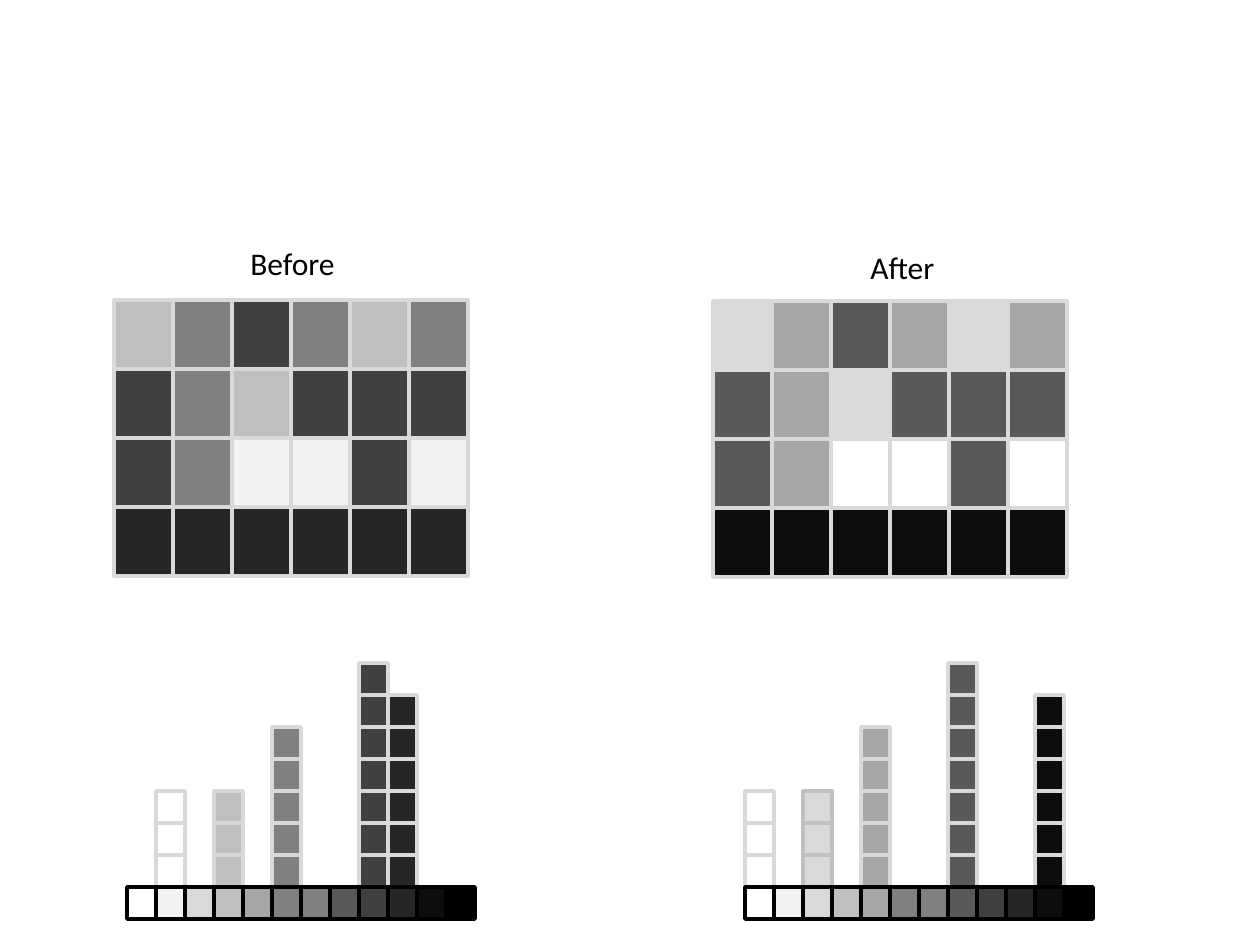
"""Draw a grey-level grid and its histogram before and after a contrast stretch."""
from collections import Counter
from dataclasses import dataclass, field

from pptx import Presentation
from pptx import util as u
from pptx.dml.color import RGBColor
from pptx.enum import shapes, text
from pptx.shapes.group import GroupShape

PX = u.Inches(1) / 126


@dataclass(frozen=True)
class Theme:
    ramp: tuple[str, ...] = (
        "FFFFFF", "F2F2F2", "D9D9D9", "BFBFBF", "A6A6A6", "808080",
        "808080", "595959", "404040", "262626", "0D0D0D", "000000",
    )
    grid_line: str = "D9D9D9"
    ramp_line: str = "000000"
    text: str = "000000"
    font: str = "Calibri"
    title_size: int = 18
    line_width: int = 2


@dataclass(frozen=True)
class Size:
    width: int
    height: int


@dataclass(frozen=True)
class Panel:
    title: str
    title_left: int
    title_top: int
    title_width: int
    grid_left: int
    grid_top: int
    ramp_left: int
    ramp_top: int
    levels: tuple[tuple[int, ...], ...]
    bar_fills: dict[int, str] = field(default_factory=dict)
    bar_lines: dict[int, str] = field(default_factory=dict)


THEME = Theme()
GRID_CELL = Size(59, 69)
RAMP_CELL = Size(29, 32)
TITLE_HEIGHT = 51

PANELS = (
    Panel(
        "After", 858, 242, 91, 713, 301, 745, 887,
        ((2, 4, 7, 4, 2, 4), (7, 4, 2, 7, 7, 7), (7, 4, 0, 0, 7, 0), (10,) * 6),
        bar_lines={2: "BFBFBF"},
    ),
    Panel(
        "Before", 238, 238, 112, 114, 300, 127, 887,
        ((3, 5, 8, 5, 3, 5), (8, 5, 3, 8, 8, 8), (8, 5, 1, 1, 8, 1), (9,) * 6),
        bar_fills={1: "FFFFFF"},
    ),
)


def px(length: int) -> u.Emu:
    """Turn pixels into EMU."""
    return u.Emu(round(length * PX))


def add_cell(group: GroupShape, left: int, top: int, size: Size, fill: str, line: str) -> None:
    """Add one filled and outlined cell."""
    shape = group.shapes.add_shape(
        shapes.MSO_SHAPE.RECTANGLE, px(left), px(top), px(size.width), px(size.height)
    )
    shape.shadow.inherit = False
    shape.fill.solid()
    shape.fill.fore_color.rgb = RGBColor.from_string(fill)
    shape.line.color.rgb = RGBColor.from_string(line)
    shape.line.width = u.Pt(THEME.line_width)


def add_text(group: GroupShape, content: str, *, left: int, top: int, width: int, height: int,
             size: int = THEME.title_size, color: str = THEME.text) -> None:
    """Add a single-line text box that fits its text."""
    shape = group.shapes.add_textbox(px(left), px(top), px(width), px(height))
    frame = shape.text_frame
    frame.word_wrap = False
    frame.auto_size = text.MSO_AUTO_SIZE.SHAPE_TO_FIT_TEXT
    run = frame.paragraphs[0].add_run()
    run.text = content
    run.font.name = THEME.font
    run.font.size = u.Pt(size)
    run.font.color.rgb = RGBColor.from_string(color)


def add_histogram(group: GroupShape, panel: Panel) -> None:
    """Stack one block per grid cell above its grey level, then add the ramp."""
    counts = Counter(level for row in panel.levels for level in row)
    for level, count in sorted(counts.items()):
        left = panel.ramp_left + level * RAMP_CELL.width
        fill = panel.bar_fills.get(level, THEME.ramp[level])
        line = panel.bar_lines.get(level, THEME.grid_line)
        for step in range(1, count + 1):
            top = panel.ramp_top - step * RAMP_CELL.height
            add_cell(group, left, top, RAMP_CELL, fill, line)
    for level, fill in enumerate(THEME.ramp):
        left = panel.ramp_left + level * RAMP_CELL.width
        add_cell(group, left, panel.ramp_top, RAMP_CELL, fill, THEME.ramp_line)


def add_grid(group: GroupShape, panel: Panel) -> None:
    """Add the grid of grey cells."""
    for row, levels in enumerate(panel.levels):
        for column, level in enumerate(levels):
            left = panel.grid_left + column * GRID_CELL.width
            top = panel.grid_top + row * GRID_CELL.height
            add_cell(group, left, top, GRID_CELL, THEME.ramp[level], THEME.grid_line)


def main() -> None:
    """Build and save the presentation."""
    presentation = Presentation()
    presentation.slide_width = px(1260)
    presentation.slide_height = px(945)
    slide = presentation.slides.add_slide(presentation.slide_layouts[6])
    for panel in PANELS:
        group = slide.shapes.add_group_shape()
        add_histogram(group, panel)
        add_grid(group, panel)
        add_text(group, panel.title, left=panel.title_left, top=panel.title_top,
                 width=panel.title_width, height=TITLE_HEIGHT)
    presentation.save("out.pptx")


if __name__ == "__main__":
    main()
